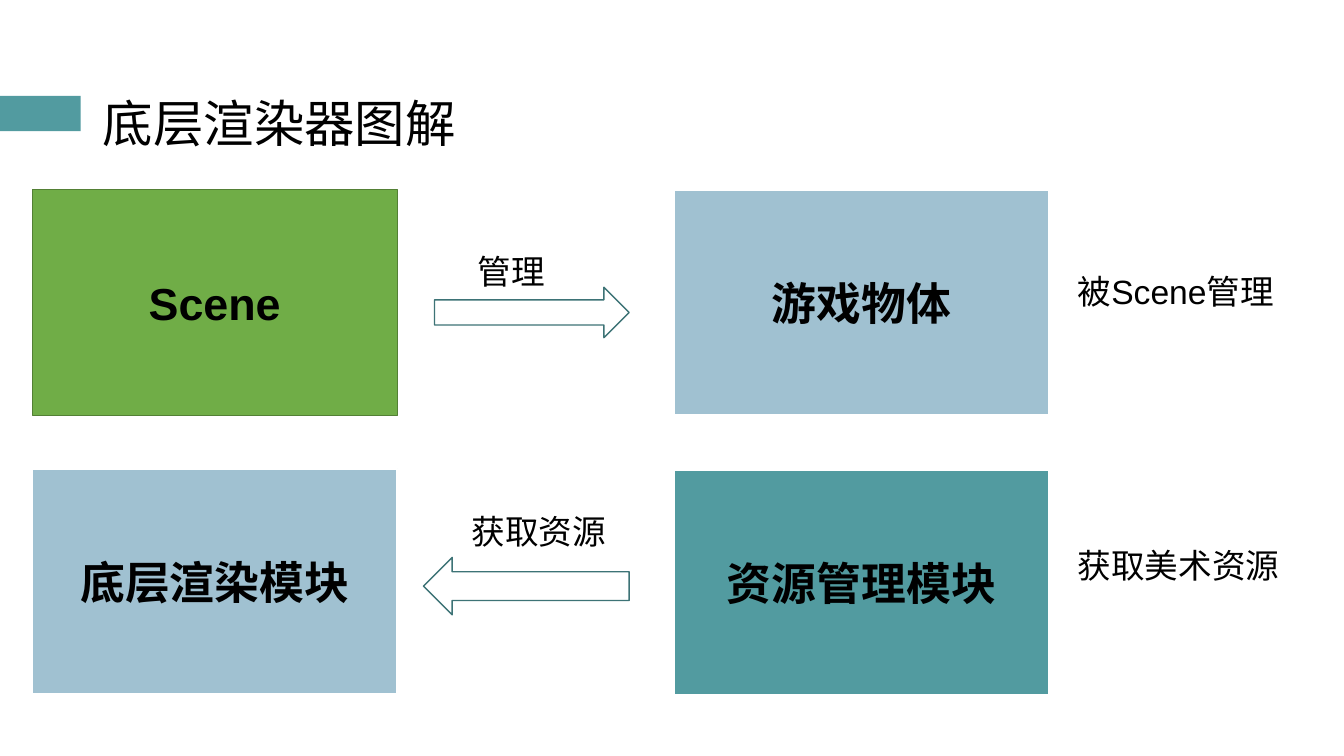
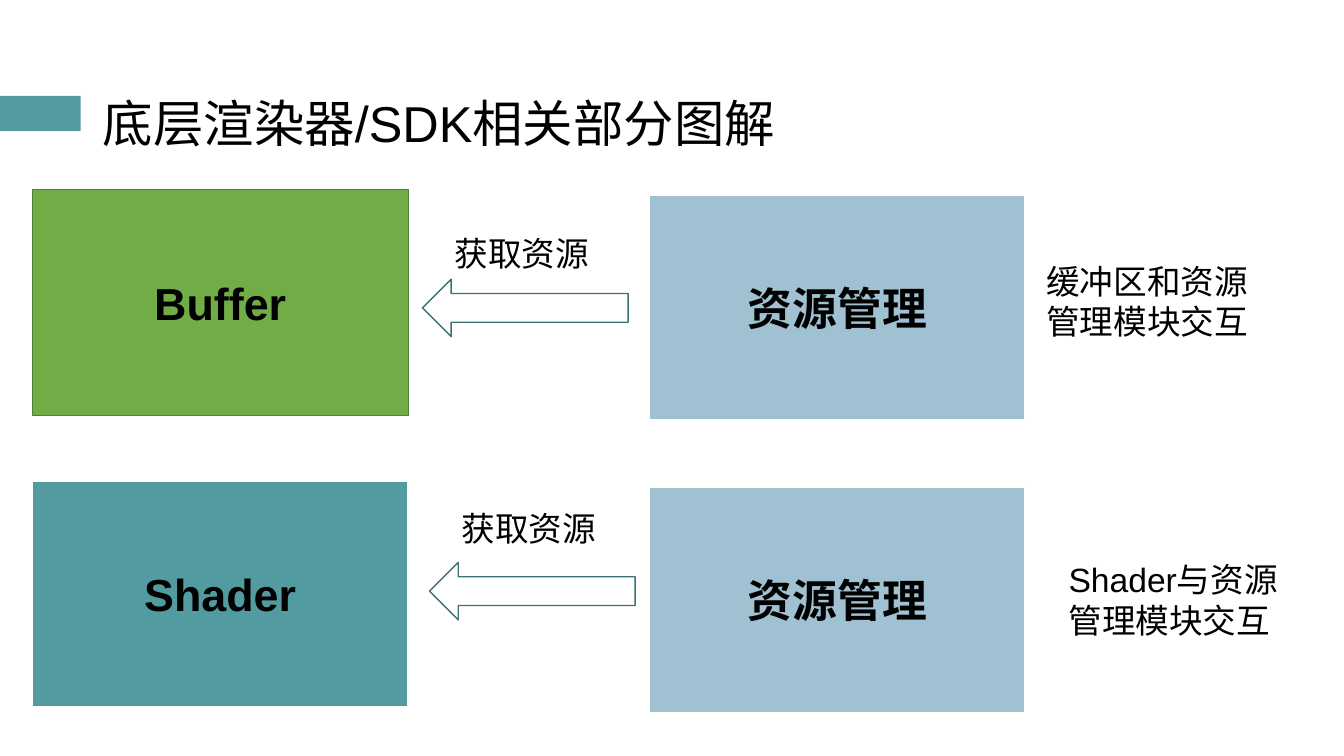
"""Build two slides that diagram how the renderer modules exchange resources."""
from pptx import Presentation
from pptx.dml.color import RGBColor
from pptx.enum.shapes import MSO_SHAPE as Shape
from pptx.enum.text import MSO_ANCHOR as Anchor, MSO_AUTO_SIZE as AutoSize, PP_ALIGN as Align
from pptx.util import Emu, Pt

PX = 9144
FONT = "Arial"
COLORS = {
    "text": "000000",
    "white": "FFFFFF",
    "teal": "529BA0",
    "green": "70AD47",
    "green_edge": "538035",
    "blue": "A0C1D1",
    "arrow_edge": "3D7376",
}
BOX_HEIGHT = 224
LEFT_X = 32
BACK_ARROW = (204, 57)
LABEL_HEIGHT = 50
NOTE_HEIGHT = 91

DIAGRAMS = [
    {
        "title": "底层渲染器图解",
        "modules": [
            ("Scene", LEFT_X, 188, 362, "green"),
            ("游戏物体", 668, 188, 373, "blue"),
            ("底层渲染模块", LEFT_X, 465, 362, "blue"),
            ("资源管理模块", 668, 466, 373, "teal"),
        ],
        "arrows": [
            (Shape.RIGHT_ARROW, 431, 285, 193, 50),
            (Shape.LEFT_ARROW, 420, 553, *BACK_ARROW),
        ],
        "captions": [
            (["管理"], 464, 244, 104, LABEL_HEIGHT),
            (["获取资源"], 458, 502, 160, LABEL_HEIGHT),
            (["被Scene管理"], 1059, 264, 265, LABEL_HEIGHT),
            (["获取美术资源"], 1059, 536, 265, LABEL_HEIGHT),
        ],
    },
    {
        "title": "底层渲染器/SDK相关部分图解",
        "modules": [
            ("Buffer", LEFT_X, 188, 373, "green"),
            ("资源管理", 644, 193, 373, "blue"),
            ("Shader", LEFT_X, 477, 373, "teal"),
            ("资源管理", 644, 483, 373, "blue"),
        ],
        "arrows": [
            (Shape.LEFT_ARROW, 419, 277, *BACK_ARROW),
            (Shape.LEFT_ARROW, 426, 558, *BACK_ARROW),
        ],
        "captions": [
            (["获取资源"], 441, 226, 160, LABEL_HEIGHT),
            (["获取资源"], 448, 499, 160, LABEL_HEIGHT),
            (["缓冲区和资源", "管理模块交互"], 1028, 254, 259, NOTE_HEIGHT),
            (["Shader与资源", "管理模块交互"], 1050, 550, 236, NOTE_HEIGHT),
        ],
    },
]


def add_block(slide, kind, box, fill, edge=None, edge_width=1):
    block = slide.shapes.add_shape(kind, *(Emu(n * PX) for n in box))
    block.shadow.inherit = False
    block.fill.solid()
    block.fill.fore_color.rgb = RGBColor.from_string(COLORS[fill])
    if edge:
        block.line.color.rgb = RGBColor.from_string(COLORS[edge])
        block.line.width = Pt(edge_width)
    else:
        block.line.fill.background()
    return block


def write(frame, lines, size, bold=False, align=Align.LEFT, spacing=None):
    frame.word_wrap = True
    for index, line in enumerate(lines):
        paragraph = frame.add_paragraph() if index else frame.paragraphs[0]
        paragraph.alignment = align
        if spacing:
            paragraph.line_spacing = spacing
        run = paragraph.add_run()
        run.text = line
        run.font.name = FONT
        run.font.size = Pt(size)
        run.font.bold = bold
        run.font.color.rgb = RGBColor.from_string(COLORS["text"])


deck = Presentation()
deck.slide_width = Emu(1333 * PX)
deck.slide_height = Emu(750 * PX)
title_only = deck.slide_layouts[5]

for diagram in DIAGRAMS:
    slide = deck.slides.add_slide(title_only)
    add_block(slide, Shape.RECTANGLE, (0, 95, 80, 35), "teal")

    title = slide.shapes.title
    title.left, title.top, title.width, title.height = (
        Emu(n * PX) for n in (92, 43, 1150, 145)
    )
    title.text_frame.auto_size = AutoSize.NONE
    title.text_frame.vertical_anchor = Anchor.MIDDLE
    write(title.text_frame, [diagram["title"]], 36, spacing=1.2)

    for name, x, y, width, fill in diagram["modules"]:
        edge, edge_width = ("green_edge", 1) if fill == "green" else ("white", 1.5)
        module = add_block(
            slide, Shape.RECTANGLE, (x, y, width, BOX_HEIGHT), fill, edge, edge_width
        )
        module.text_frame.vertical_anchor = Anchor.MIDDLE
        write(module.text_frame, [name], 32, bold=True, align=Align.CENTER)

    for kind, *box in diagram["arrows"]:
        add_block(slide, kind, box, "white", "arrow_edge")

    for lines, *box in diagram["captions"]:
        caption = slide.shapes.add_textbox(*(Emu(n * PX) for n in box))
        caption.text_frame.auto_size = AutoSize.SHAPE_TO_FIT_TEXT
        write(caption.text_frame, lines, 24)

deck.save("out.pptx")
